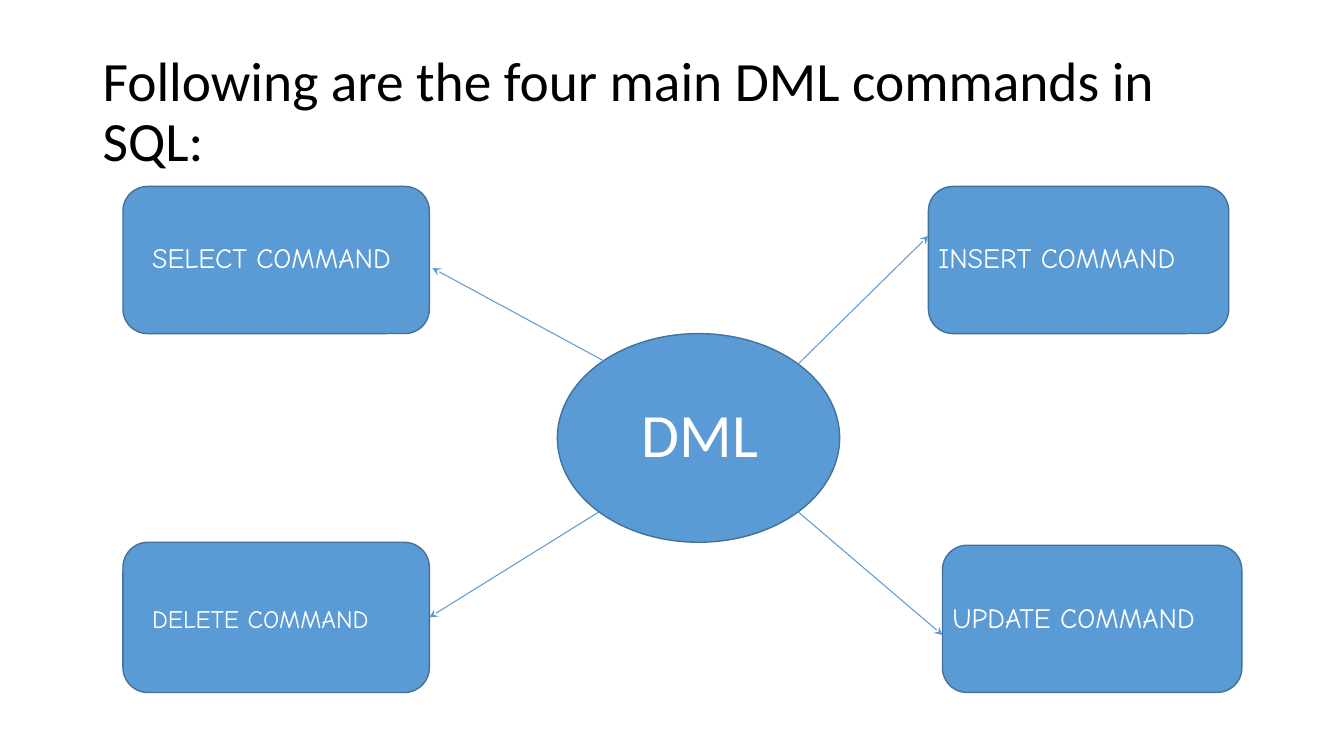
from dataclasses import dataclass

from lxml import etree
from pptx import Presentation
from pptx import util as u
from pptx.dml.color import RGBColor
from pptx.enum import shapes, text
from pptx.oxml.ns import qn

WIDE, HIGH = u.Inches(13.333), u.Inches(7.5)
COLS, ROWS = 133.33, 75
HUES = {"fill": "5B9BD5", "edge": "42719B", "white": "FFFFFF", "black": "000000"}
KIND = shapes.MSO_SHAPE
RIGHT = 3


@dataclass(frozen=True)
class Box:
    left: float
    top: float
    wide: float
    high: float

    def place(self) -> tuple[int, int, int, int]:
        return col(self.left), row(self.top), col(self.wide), row(self.high)


@dataclass(frozen=True)
class Node:
    verb: str
    box: Box
    label: Box
    start: tuple[float, float]
    end: tuple[float, float]
    size: int = 20
    joined: bool = False


HUB = Box(55.3, 33.1, 28, 20.7)
NODES = [
    Node("INSERT", Box(92.1, 18.5, 29.8, 14.6), Box(92.1, 23.4, 29.8, 4.4),
         (79.2, 36.1), (92.1, 23.4)),
    Node("UPDATE", Box(93.5, 54.1, 29.7, 14.6), Box(93.5, 59.1, 30.7, 4.4),
         (79.2, 50.8), (93.5, 63)),
    Node("SELECT", Box(12.2, 18.5, 30.4, 14.6), Box(14.1, 23.4, 28.8, 4.4),
         (59.9, 35.8), (42.9, 26.6)),
    Node("DELETE", Box(12.2, 53.8, 30.4, 14.9), Box(14.1, 59.4, 25.9, 4),
         (59.4, 50.8), (42.6, 61.4), size=18, joined=True),
]


def col(n: float) -> int:
    return round(WIDE * n / COLS)


def row(n: float) -> int:
    return round(HIGH * n / ROWS)


def hue(name: str) -> RGBColor:
    return RGBColor.from_string(HUES[name])


def write(slide, words: str, box: Box, *, size: float, font: str = "Calibri",
          color: str = "white", align=text.PP_ALIGN.LEFT,
          anchor=text.MSO_ANCHOR.TOP, space: float = 1.0) -> None:
    frame = slide.shapes.add_textbox(*box.place()).text_frame
    frame.word_wrap = True
    frame.vertical_anchor = anchor
    line = frame.paragraphs[0]
    line.alignment = align
    line.line_spacing = space
    run = line.add_run()
    run.text = words
    run.font.size = u.Pt(size)
    run.font.name = font
    run.font.color.rgb = hue(color)


def shape(slide, kind, box: Box):
    item = slide.shapes.add_shape(kind, *box.place())
    item.shadow.inherit = False
    item.fill.solid()
    item.fill.fore_color.rgb = hue("fill")
    item.line.color.rgb = hue("edge")
    item.line.width = u.Pt(1)
    return item


def arrow(slide, node: Node, panel) -> None:
    (left, top), (right, low) = node.start, node.end
    link = slide.shapes.add_connector(
        shapes.MSO_CONNECTOR.STRAIGHT, col(left), row(top), col(right), row(low))
    if node.joined:
        link.end_connect(panel, RIGHT)
    link.line.color.rgb = hue("fill")
    link.line.width = u.Pt(0.75)
    etree.SubElement(link.line._get_or_add_ln(), qn("a:tailEnd"), type="stealth")
    etree.SubElement(link._element.spPr, qn("a:effectLst"))


def main() -> None:
    deck = Presentation()
    deck.slide_width, deck.slide_height = WIDE, HIGH
    slide = deck.slides.add_slide(deck.slide_layouts[6])
    write(slide, "Following are the four main DML commands in SQL:",
          Box(9.2, 4, 115, 14.5), size=39.6, color="black",
          anchor=text.MSO_ANCHOR.MIDDLE, space=0.9)
    shape(slide, KIND.OVAL, HUB)
    write(slide, "DML", Box(57.4, 38.8, 24.1, 8.4), size=44,
          align=text.PP_ALIGN.CENTER)
    for node in NODES:
        panel = shape(slide, KIND.ROUNDED_RECTANGLE, node.box)
        arrow(slide, node, panel)
        write(slide, f"{node.verb} COMMAND", node.label, size=node.size,
              font="Comic Neue")
    deck.save("out.pptx")


if __name__ == "__main__":
    main()
